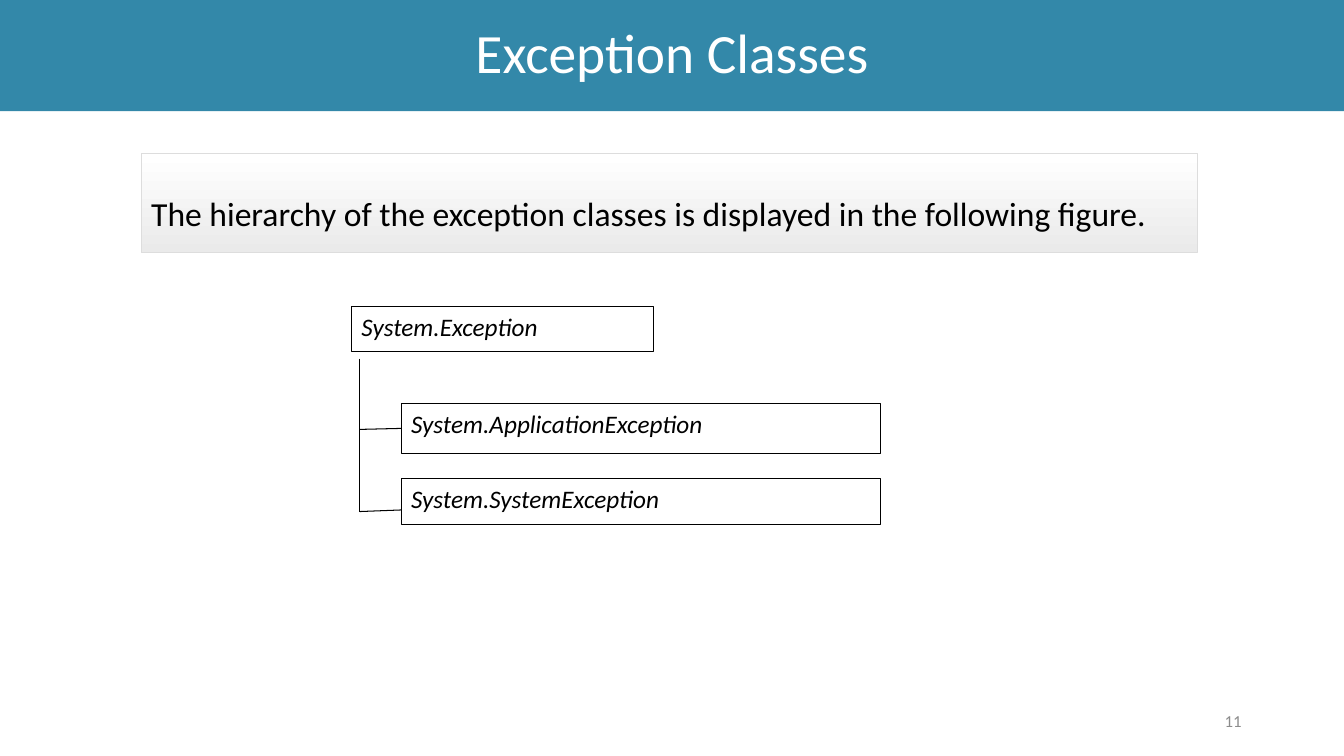
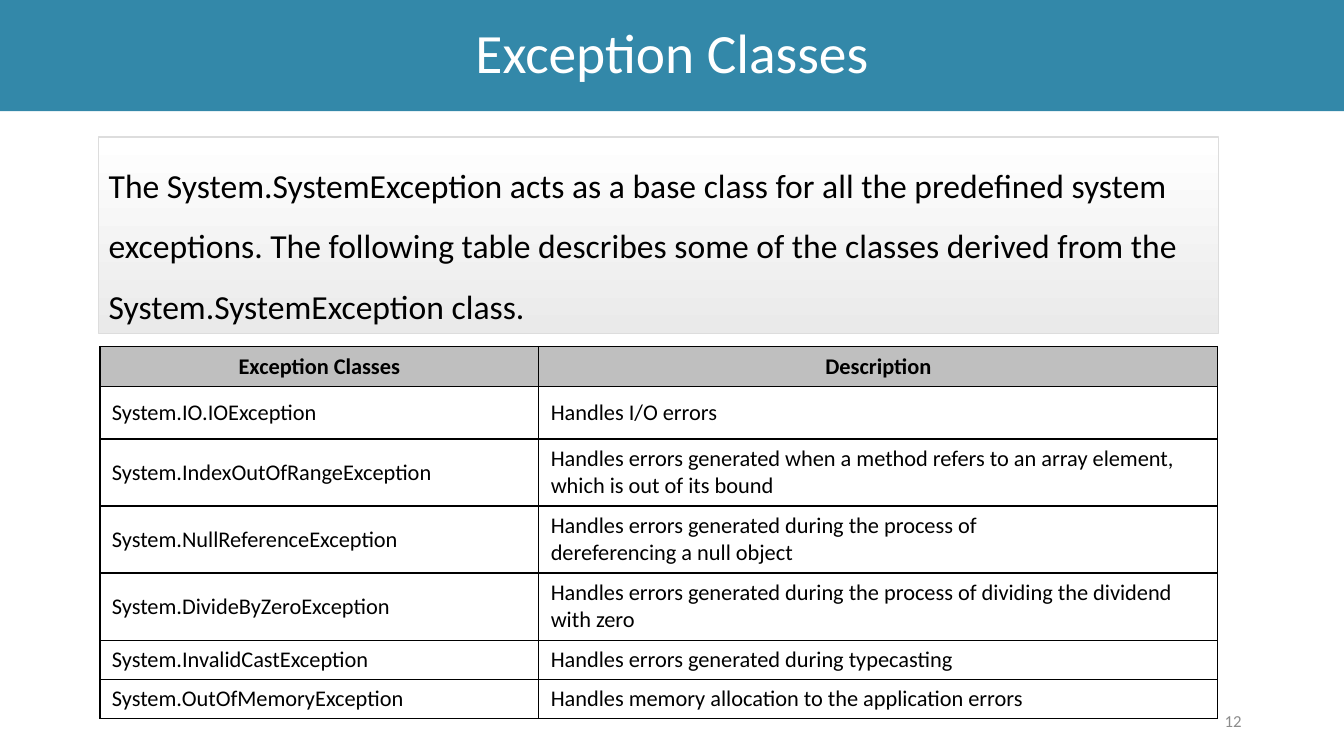
from lxml.etree import SubElement
from pptx import Presentation
from pptx.dml.color import RGBColor
from pptx.enum.shapes import MSO_CONNECTOR, MSO_SHAPE
from pptx.enum.text import MSO_ANCHOR, PP_ALIGN
from pptx.oxml import parse_xml
from pptx.oxml.ns import nsdecls, qn
from pptx.util import Cm, Pt

COLORS = {
    "band": "3388A9",
    "white": "FFFFFF",
    "black": "000000",
    "number": "8C8C8C",
    "panel_end": "EAEAEA",
    "panel_line": "DDDDDD",
    "header": "BFBFBF",
}
RGB = {name: RGBColor.from_string(value) for name, value in COLORS.items()}
FONT = "Calibri"
SLIDE_WIDTH = 33.87


def write(frame, text, size, color="black", align=PP_ALIGN.LEFT, spacing=1.0, bold=False, italic=False):
    frame.word_wrap = True
    frame.text = text
    for paragraph in frame.paragraphs:
        paragraph.alignment = align
        paragraph.line_spacing = spacing
        paragraph.font.name = FONT
        paragraph.font.size = Pt(size)
        paragraph.font.color.rgb = RGB[color]
        paragraph.font.bold = bold
        paragraph.font.italic = italic


def add_box(shapes, left, top, width, height, anchor=MSO_ANCHOR.MIDDLE):
    box = shapes.add_shape(MSO_SHAPE.RECTANGLE, Cm(left), Cm(top), Cm(width), Cm(height))
    box.shadow.inherit = False
    box.fill.background()
    box.line.fill.background()
    box.text_frame.vertical_anchor = anchor
    return box


deck = Presentation()
deck.slide_width = Cm(SLIDE_WIDTH)
deck.slide_height = Cm(19.05)

intros = [
    (11, "The hierarchy of the exception classes is displayed in the following figure.",
     (3.56, 3.87, 26.62, 2.5)),
    (12, "The System.SystemException acts as a base class for all the predefined system exceptions. "
         "The following table describes some of the classes derived from the System.SystemException class.",
     (2.49, 3.45, 28.22, 4.95)),
]
pages = []
for number, intro, place in intros:
    page = deck.slides.add_slide(deck.slide_layouts[6])
    pages.append(page)

    band = add_box(page.shapes, 0, 0, SLIDE_WIDTH, 2.8)
    band.fill.solid()
    band.fill.fore_color.rgb = RGB["band"]
    write(band.text_frame, "Exception Classes", 39.6, "white", PP_ALIGN.CENTER, 0.9)

    number_box = page.shapes.add_textbox(Cm(23.92), Cm(17.66), Cm(7.62), Cm(1.01))
    number_box.text_frame.vertical_anchor = MSO_ANCHOR.MIDDLE
    write(number_box.text_frame, str(number), 12, "number", PP_ALIGN.RIGHT)

    panel = add_box(page.shapes, *place)
    panel.fill.gradient()
    panel.fill.gradient_angle = 270
    for stop, position, color in zip(panel.fill.gradient_stops, (0, 1), ("white", "panel_end")):
        stop.position = position
        stop.color.rgb = RGB[color]
    panel.line.color.rgb = RGB["panel_line"]
    panel.line.width = Pt(1)
    write(panel.text_frame, intro, 24, spacing=1.5)

hierarchy_page, table_page = pages

hierarchy = hierarchy_page.shapes.add_group_shape()
class_boxes = []
for name, *place in [
    ("System.Exception", 8.86, 7.72, 7.6, 1.14),
    ("System.ApplicationException", 10.11, 10.16, 12.09, 1.27),
    ("System.SystemException", 10.11, 12.06, 12.09, 1.17),
]:
    class_box = add_box(hierarchy.shapes, *place, anchor=MSO_ANCHOR.TOP)
    class_box.line.color.rgb = RGB["black"]
    class_box.line.width = Pt(0.75)
    write(class_box.text_frame, name, 18, italic=True)
    class_boxes.append(class_box)

TRUNK = 9.07
tree_lines = []
for start_y, end_x, end_y in [(9.04, TRUNK, 12.89), (10.82, 10.11, 10.79), (12.89, 10.11, 12.85)]:
    tree_line = hierarchy.shapes.add_connector(
        MSO_CONNECTOR.STRAIGHT, Cm(TRUNK), Cm(start_y), Cm(end_x), Cm(end_y))
    tree_line.line.color.rgb = RGB["black"]
    tree_line.line.width = Pt(0.75)
    SubElement(tree_line._element.spPr, qn("a:effectLst"))
    tree_lines.append(tree_line)
tree_lines[1].end_connect(class_boxes[1], 1)

rows = [
    (1.01, "Exception Classes", "Description"),
    (1.32, "System.IO.IOException", "Handles I/O errors"),
    (1.69, "System.IndexOutOfRangeException",
     "Handles errors generated when a method refers to an array element, which is out of its bound"),
    (1.69, "System.NullReferenceException",
     "Handles errors generated during the process of\ndereferencing a null object"),
    (1.69, "System.DivideByZeroException",
     "Handles errors generated during the process of dividing the dividend with zero"),
    (0.99, "System.InvalidCastException", "Handles errors generated during typecasting"),
    (0.99, "System.OutOfMemoryException", "Handles memory allocation to the application errors"),
]
column_widths = (11.06, 17.11)
table = table_page.shapes.add_table(
    len(rows), len(column_widths), Cm(2.52), Cm(8.73),
    Cm(sum(column_widths)), Cm(sum(row[0] for row in rows))).table
table.horz_banding = False
for column, width in zip(table.columns, column_widths):
    column.width = Cm(width)
for row_index, (height, *texts) in enumerate(rows):
    table.rows[row_index].height = Cm(height)
    is_header = row_index == 0
    for column_index, text in enumerate(texts):
        cell = table.cell(row_index, column_index)
        cell.vertical_anchor = MSO_ANCHOR.MIDDLE
        cell.margin_left = cell.margin_right = Cm(0.3)
        cell.margin_top = cell.margin_bottom = Cm(0.15)
        align = PP_ALIGN.CENTER if is_header else PP_ALIGN.LEFT
        write(cell.text_frame, text, 16, align=align, bold=is_header)
        properties = cell._tc.get_or_add_tcPr()
        for side in ("lnL", "lnR", "lnT", "lnB"):
            properties.append(parse_xml(
                f'<a:{side} {nsdecls("a")} w="{Pt(1)}"><a:solidFill>'
                f'<a:srgbClr val="{COLORS["black"]}"/></a:solidFill></a:{side}>'))
        if is_header:
            cell.fill.solid()
            cell.fill.fore_color.rgb = RGB["header"]
        else:
            cell.fill.background()

deck.save("out.pptx")
